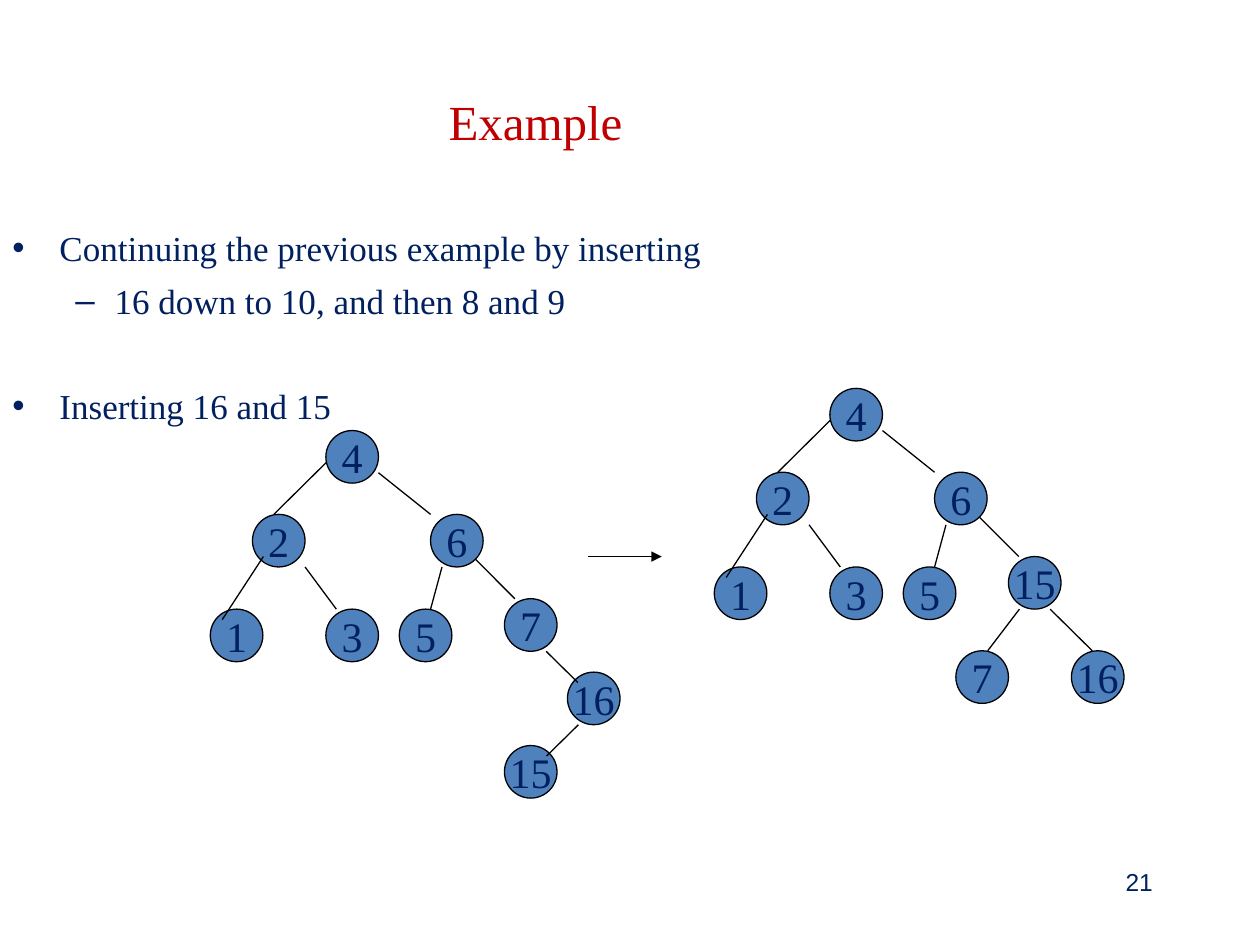
from lxml.etree import SubElement
from pptx import Presentation
from pptx.dml.color import RGBColor
from pptx.enum.shapes import MSO_CONNECTOR, MSO_SHAPE
from pptx.enum.text import MSO_ANCHOR, PP_ALIGN
from pptx.oxml.ns import qn
from pptx.util import Cm, Pt

NAVY, RED, BLUE, BLACK = "002060", "C00000", "4F81BD", "000000"
SERIF = "Times New Roman"
tint = RGBColor.from_string


def write(para, text, size=20, font=SERIF, color=NAVY, align=PP_ALIGN.LEFT,
          before=0, bullet=None, left=0, hang=0):
    para.alignment = align
    para.space_before, para.space_after = Pt(before), Pt(0.5)
    if bullet:
        props = para._p.get_or_add_pPr()
        props.set("marL", str(Cm(left)))
        props.set("indent", str(-Cm(hang)))
        shade = SubElement(props, qn("a:buClr"))
        SubElement(shade, qn("a:srgbClr"), val=color)
        SubElement(props, qn("a:buFont"), typeface="Arial")
        SubElement(props, qn("a:buChar"), char=bullet)
    run = para.add_run()
    run.text = text
    run.font.size, run.font.name = Pt(size), font
    run.font.color.rgb = tint(color)


def join(x1, y1, x2, y2):
    line = slide.shapes.add_connector(
        MSO_CONNECTOR.STRAIGHT, Cm(x1), Cm(y1), Cm(x2), Cm(y2))
    line.line.color.rgb, line.line.width = tint(BLACK), Pt(0.75)
    SubElement(line._element.spPr, qn("a:effectLst"))
    return line


deck = Presentation()
deck.slide_width, deck.slide_height = Cm(25.4), Cm(19.05)
slide = deck.slides.add_slide(deck.slide_layouts[5])

# Title
title = slide.shapes.title
title.left, title.top = Cm(0), Cm(0.85)
title.width, title.height = Cm(21.59), Cm(3.18)
title.text_frame.vertical_anchor = MSO_ANCHOR.MIDDLE
write(title.text_frame.paragraphs[0], "Example", size=28, color=RED,
      align=PP_ALIGN.CENTER)

# Slide number
box = slide.shapes.add_textbox(Cm(18.2), Cm(17.36), Cm(5.29), Cm(1.27))
box.text_frame.word_wrap = True
write(box.text_frame.paragraphs[0], "21", size=14, font="Arial",
      align=PP_ALIGN.RIGHT)

# Bulleted text: words, level, space before
points = [
    ("Continuing the previous example by inserting", 0, 0),
    ("16 down to 10, and then 8 and 9", 1, 5.5),
    ("Inserting 16 and 15", 0, 35.5),
]
marks = [("•", 0.95, 0.95), ("–", 2.06, 0.79)]
body = slide.shapes.add_textbox(Cm(0), Cm(4.45), Cm(21.59), Cm(11.43))
frame = body.text_frame
frame.word_wrap = True
for i, (text, level, gap) in enumerate(points):
    para = frame.add_paragraph() if i else frame.paragraphs[0]
    para.level = level
    mark, left, hang = marks[level]
    write(para, text, before=gap, bullet=mark, left=left, hang=hang)

# Parts that both trees share, measured from the tree's corner
SIDE = 1.06
core = [("4", 2.33, 0), ("2", 0.85, 1.69), ("6", 4.44, 1.69),
        ("1", 0, 3.6), ("3", 2.33, 3.6), ("5", 3.81, 3.6)]
under = [(2.34, 0.64, 1.28, 1.69), (3.39, 0.85, 4.44, 1.69),
         (5.29, 2.54, 6.14, 3.39)]
over = [(1.07, 2.54, 0.24, 3.81), (1.91, 2.75, 2.54, 3.6),
        (4.67, 2.75, 4.44, 3.6)]

# Each tree: corner, own nodes, own edges
trees = [
    (4.24, 8.68,
     [("7", 5.93, 3.39), ("16", 7.2, 4.87), ("15", 5.93, 6.35)],
     [(6.77, 4.45, 7.41, 5.08), (7.42, 5.93, 6.78, 6.56)]),
    (14.4, 7.83,
     [("15", 5.93, 3.39), ("16", 7.2, 5.29), ("7", 4.87, 5.29)],
     [(6.77, 4.45, 7.62, 5.29), (6.15, 4.45, 5.51, 5.29)]),
]
for x, y, nodes, edges in trees:
    for x1, y1, x2, y2 in under:
        join(x + x1, y + y1, x + x2, y + y2)
    for key, dx, dy in core + nodes:
        node = slide.shapes.add_shape(
            MSO_SHAPE.OVAL, Cm(x + dx), Cm(y + dy), Cm(SIDE), Cm(SIDE))
        node.shadow.inherit = False
        node.fill.solid()
        node.fill.fore_color.rgb = tint(BLUE)
        node.line.color.rgb, node.line.width = tint(BLACK), Pt(0.75)
        node.text_frame.word_wrap = False
        node.text_frame.vertical_anchor = MSO_ANCHOR.MIDDLE
        write(node.text_frame.paragraphs[0], key, size=24,
              align=PP_ALIGN.CENTER)
    for x1, y1, x2, y2 in over + edges:
        join(x + x1, y + y1, x + x2, y + y2)

# Arrow from the first tree to the second
arrow = join(11.85, 11.22, 13.34, 11.22)
SubElement(arrow.line._get_or_add_ln(), qn("a:tailEnd"), type="triangle")

deck.save("out.pptx")
